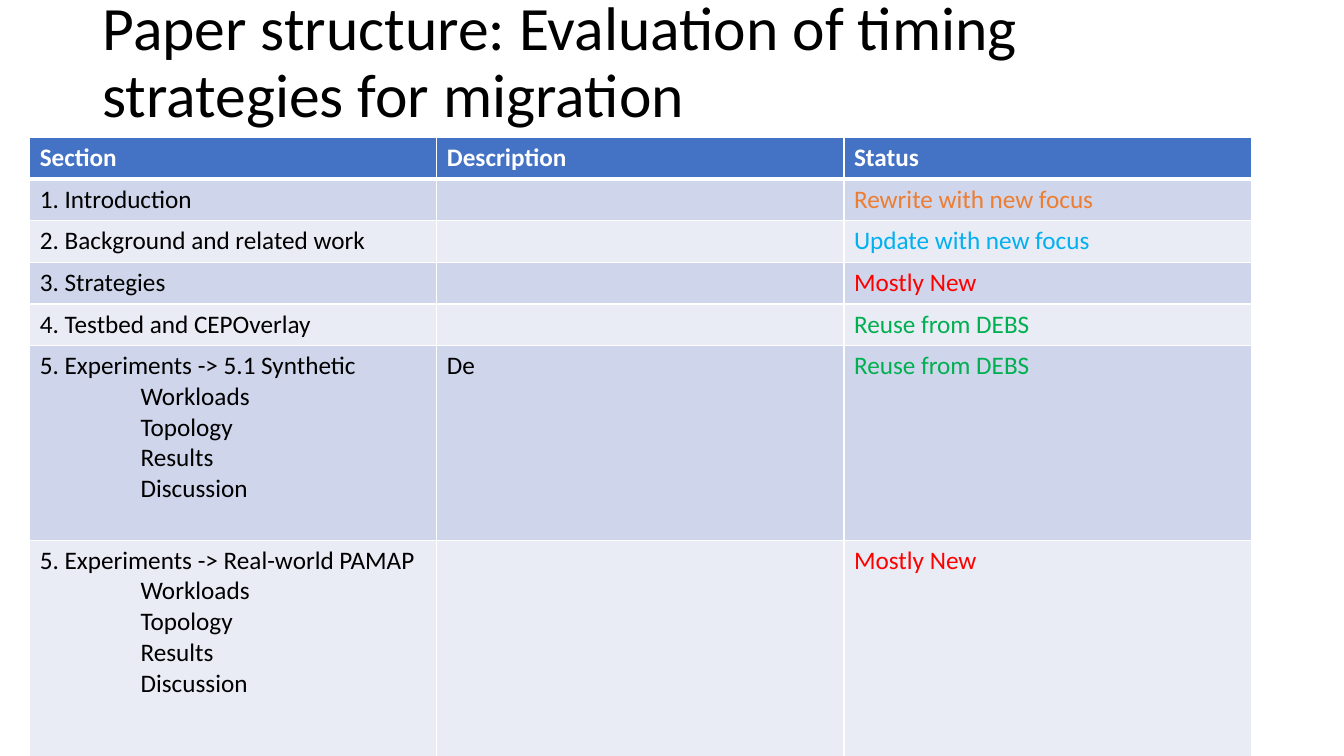
from dataclasses import dataclass

from lxml.etree import SubElement
from pptx import Presentation
from pptx.dml.color import RGBColor
from pptx.enum.text import MSO_ANCHOR, MSO_AUTO_SIZE, PP_ALIGN
from pptx.oxml.ns import qn
from pptx.util import Cm, Pt


@dataclass(frozen=True)
class Theme:
    font: str = "Calibri"
    title_size: int = 44
    table_size: int = 18
    text: str = "000000"
    white: str = "FFFFFF"
    header: str = "4472C4"
    bands: tuple = ("CFD5EA", "E9EBF5")
    rewrite: str = "ED7D31"
    update: str = "00B0F0"
    new: str = "FF0000"
    reuse: str = "00B050"


THEME = Theme()
HEADINGS = ("Section", "Description", "Status")
EXPERIMENT_PARTS = ("Workloads", "Topology", "Results", "Discussion")
SECTIONS = [
    (("1. Introduction",), "", "Rewrite with new focus", THEME.rewrite, 1.05),
    (("2. Background and related work",), "", "Update with new focus", THEME.update, 1.05),
    (("3. Strategies",), "", "Mostly New", THEME.new, 1.05),
    (("4. Testbed and CEPOverlay",), "", "Reuse from DEBS", THEME.reuse, 1.05),
    (("5. Experiments -> 5.1 Synthetic", *EXPERIMENT_PARTS), "De", "Reuse from DEBS", THEME.reuse, 4.9),
    (("5. Experiments -> Real-world PAMAP", *EXPERIMENT_PARTS), "", "Mostly New", THEME.new, 5.66),
]
HEADING_HEIGHT = 1.05


def format_runs(paragraph, size, color, bold=False):
    for run in paragraph.runs:
        run.font.name = THEME.font
        run.font.size = Pt(size)
        run.font.bold = bold
        run.font.color.rgb = RGBColor.from_string(color)


def add_borders(cell, top=1, bottom=1):
    properties = cell._tc.get_or_add_tcPr()
    for edge, width in (("L", 1), ("R", 1), ("T", top), ("B", bottom)):
        line = SubElement(properties, qn(f"a:ln{edge}"), w=str(Pt(width)))
        SubElement(SubElement(line, qn("a:solidFill")), qn("a:srgbClr"), val=THEME.white)


def fill_cell(cell, lines, fill, color, bold=False, top=1, bottom=1):
    add_borders(cell, top, bottom)
    cell.fill.solid()
    cell.fill.fore_color.rgb = RGBColor.from_string(fill)
    cell.text_frame.text = "\n".join(lines)
    for index, paragraph in enumerate(cell.text_frame.paragraphs):
        format_runs(paragraph, THEME.table_size, color, bold)
        if index:
            paragraph.level = 2
            indent = paragraph._p.get_or_add_pPr()
            indent.set("marL", str(Cm(2.54)))
            indent.set("indent", "0")


def place_title(slide, left, top, width, height):
    title = slide.shapes.title
    title.left, title.top, title.width, title.height = left, top, width, height
    frame = title.text_frame
    frame.text = "Paper structure: Evaluation of timing strategies for migration"
    frame.word_wrap = True
    frame.auto_size = MSO_AUTO_SIZE.NONE
    frame.vertical_anchor = MSO_ANCHOR.MIDDLE
    heading = frame.paragraphs[0]
    heading.alignment = PP_ALIGN.LEFT
    heading.line_spacing = 0.9
    format_runs(heading, THEME.title_size, THEME.text)


def add_structure_table(slide, left, top, width):
    heights = [HEADING_HEIGHT] + [section[-1] for section in SECTIONS]
    table = slide.shapes.add_table(
        len(heights), len(HEADINGS), left, top, width, Cm(sum(heights))
    ).table
    for row, height in zip(table.rows, heights):
        row.height = Cm(height)
    for column, heading in enumerate(HEADINGS):
        fill_cell(table.cell(0, column), [heading], THEME.header, THEME.white, bold=True, bottom=3)
    for number, (section, description, status, status_color, _) in enumerate(SECTIONS, 1):
        band = THEME.bands[(number - 1) % len(THEME.bands)]
        top_border = 3 if number == 1 else 1
        contents = ((section, THEME.text), ([description], THEME.text), ([status], status_color))
        for column, (lines, color) in enumerate(contents):
            fill_cell(table.cell(number, column), lines, band, color, top=top_border)


def build():
    presentation = Presentation()
    presentation.slide_width = Cm(33.87)
    presentation.slide_height = Cm(19.05)
    slide = presentation.slides.add_slide(presentation.slide_layouts[5])
    place_title(slide, Cm(2.33), Cm(-0.23), Cm(29.21), Cm(3.68))
    add_structure_table(slide, Cm(0.75), Cm(3.46), Cm(30.78))
    presentation.save("out.pptx")


build()
